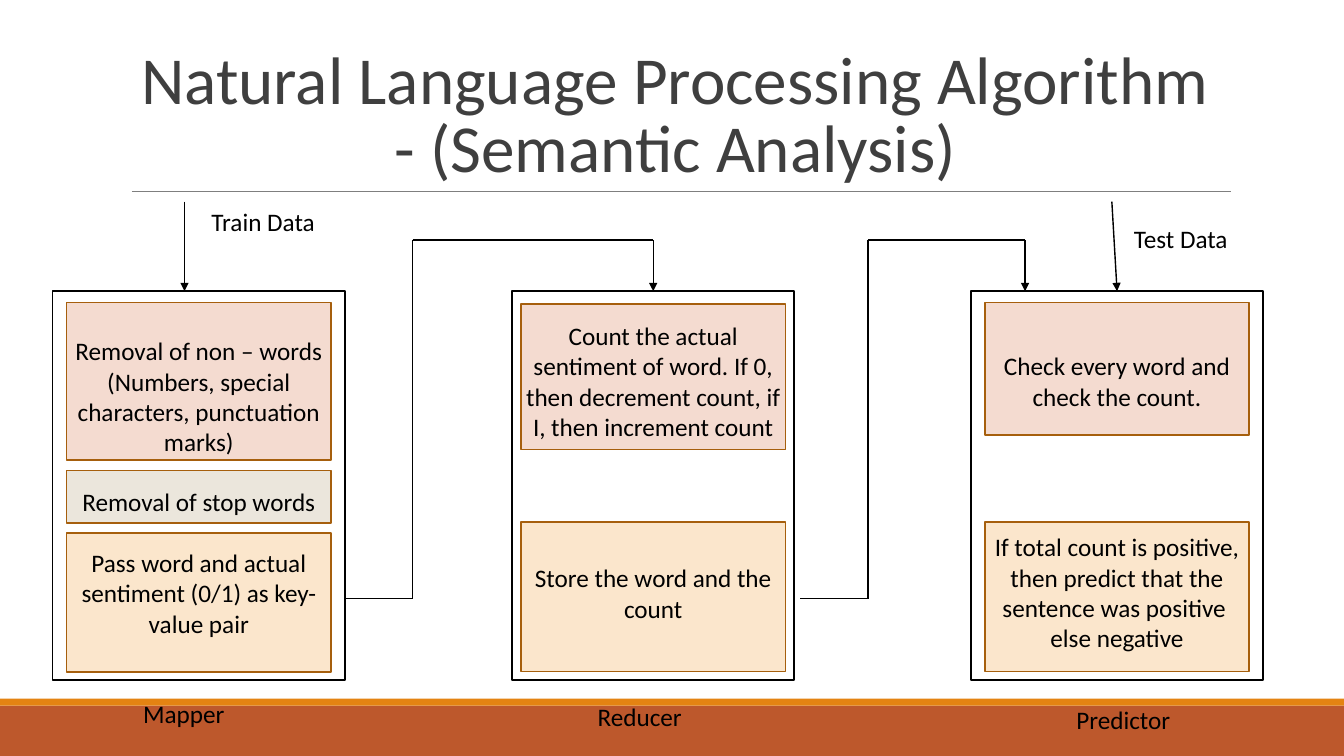
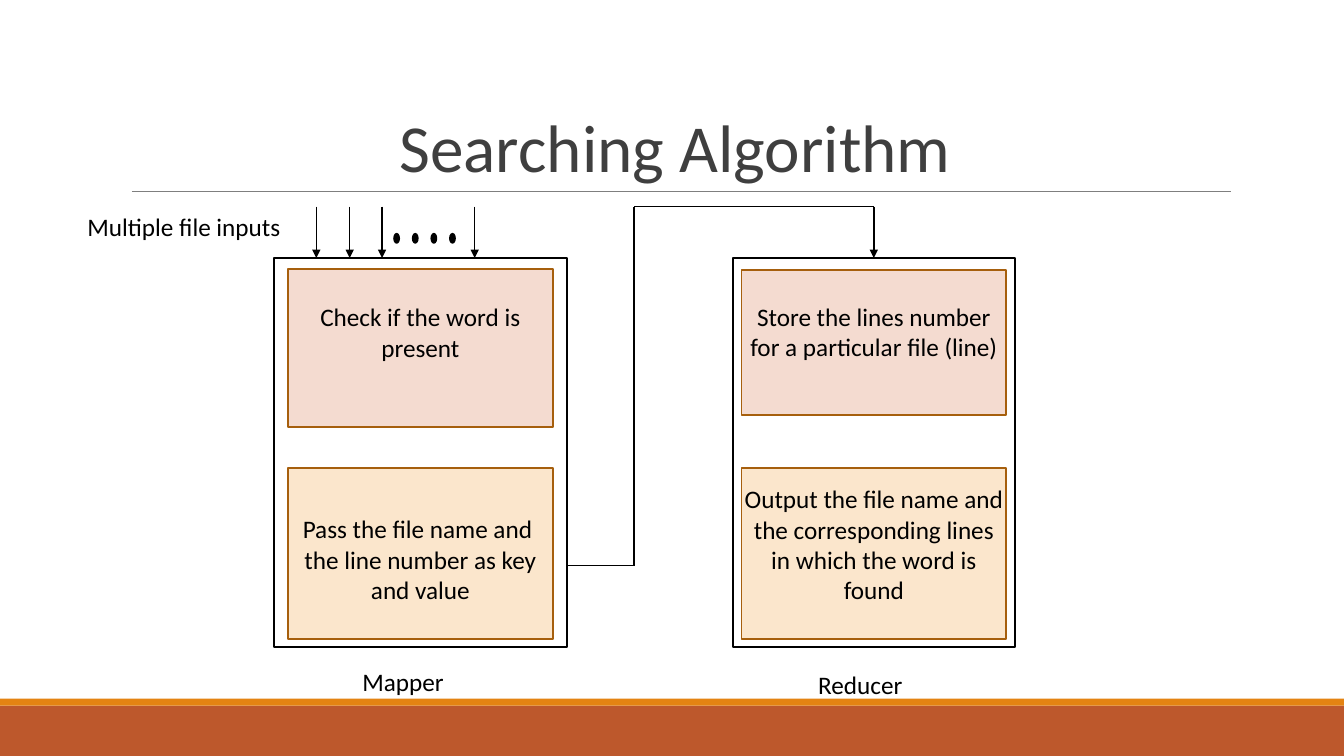
from dataclasses import dataclass
from itertools import pairwise

from lxml.etree import SubElement
from pptx import Presentation
from pptx.dml.color import RGBColor
from pptx.enum.shapes import MSO_CONNECTOR, MSO_SHAPE
from pptx.enum.text import MSO_ANCHOR, PP_ALIGN
from pptx.oxml.ns import qn
from pptx.util import Pt


@dataclass(frozen=True)
class Theme:
    font: str = "Calibri"
    title_size: float = 48
    body_size: float = 18
    ink: str = "000000"
    title: str = "3F3F3F"
    rule: str = "7F7F7F"
    band: str = "BD582C"
    stripe: str = "E48312"
    rose: str = "F4DBD0"
    sage: str = "EBE6DC"
    sand: str = "FBE6CC"
    block_line: str = "A65F0D"
    outline: float = 1.25
    arrow: float = 1


@dataclass(frozen=True)
class Box:
    left: float
    top: float
    width: float
    height: float

    @property
    def right(self):
        return self.left + self.width

    @property
    def bottom(self):
        return self.top + self.height

    @property
    def center(self):
        return self.left + self.width / 2

    def lengths(self):
        return Pt(self.left), Pt(self.top), Pt(self.width), Pt(self.height)


THEME = Theme()
PAGE = Box(0, 0, 960, 540)
PANEL_HEIGHT = 278
BLOCK_WIDTH = 189
TOP_SITE = 0


# Basic parts

def write(shape, text, size=THEME.body_size, color=THEME.ink, align=PP_ALIGN.LEFT,
          anchor=MSO_ANCHOR.TOP, spacing=None, margins=(7.2, 3.6, 7.2, 3.6)):
    frame = shape.text_frame
    frame.word_wrap = True
    frame.vertical_anchor = anchor
    (frame.margin_left, frame.margin_top,
     frame.margin_right, frame.margin_bottom) = map(Pt, margins)
    for index, line in enumerate(text.split("\n")):
        para = frame.add_paragraph() if index else frame.paragraphs[0]
        para.alignment = align
        para.line_spacing = spacing
        span = para.add_run()
        span.text = line
        span.font.name = THEME.font
        span.font.size = Pt(size)
        span.font.color.rgb = RGBColor.from_string(color)


def add_text(page, box, text, **format_options):
    write(page.shapes.add_textbox(*box.lengths()), text, **format_options)


def add_shape(page, box, fill=None, line=None, kind=MSO_SHAPE.RECTANGLE):
    shape = page.shapes.add_shape(kind, *box.lengths())
    shape.shadow.inherit = False
    if fill:
        shape.fill.solid()
        shape.fill.fore_color.rgb = RGBColor.from_string(fill)
    else:
        shape.fill.background()
    if line:
        shape.line.color.rgb = RGBColor.from_string(line)
        shape.line.width = Pt(THEME.outline)
    else:
        shape.line.fill.background()
    return shape


def add_line(page, start, end, color=THEME.ink, width=THEME.arrow, head=False, target=None):
    line = page.shapes.add_connector(MSO_CONNECTOR.STRAIGHT, *map(Pt, (*start, *end)))
    line.line.color.rgb = RGBColor.from_string(color)
    line.line.width = Pt(width)
    if head:
        SubElement(line.line._get_or_add_ln(), qn("a:tailEnd"),
                   type="triangle", w="med", len="med")
    SubElement(line._element.spPr, qn("a:effectLst"))
    if target is not None:
        line.end_connect(target, TOP_SITE)


# Page frame: bands, rule and title

def add_page(deck, title):
    page = deck.slides.add_slide(deck.slide_layouts[6])
    add_shape(page, Box(0, 504, PAGE.width, 36), THEME.band)
    add_shape(page, Box(0, 499, PAGE.width, 5), THEME.stripe)
    add_line(page, (94.3, 136.8), (879, 136.8), THEME.rule, 0.75)
    add_text(page, Box(86.4, 22.3, 792, 114.5), title, size=THEME.title_size,
             color=THEME.title, align=PP_ALIGN.CENTER,
             anchor=MSO_ANCHOR.BOTTOM, spacing=0.85)
    return page


# Panel: outline, centred blocks and caption below
# Each block is (top, height, text inset, fill, text)

def add_panel(page, box, blocks, caption, caption_at):
    for top, height, inset, fill, text in blocks:
        block = Box(box.center - BLOCK_WIDTH / 2, box.top + top, BLOCK_WIDTH, height)
        shape = add_shape(page, block, fill, THEME.block_line)
        write(shape, text, align=PP_ALIGN.CENTER, margins=(0, inset, 0, 0))
    across, below = caption_at
    add_text(page, Box(box.left + across, box.bottom + below, 102, 29), caption)
    return add_shape(page, box, line=THEME.ink)


# Path from a panel's side, up and over, down to the next panel's top

def link_panels(page, source, end_x, gap=0, target=None):
    start_x = source.right + gap
    start_y = source.top + 219.7
    turn_x = start_x + 48.2
    over_y = source.top - 36.7
    corners = [(start_x, start_y), (turn_x, start_y), (turn_x, over_y), (end_x, over_y)]
    for start, end in pairwise(corners):
        add_line(page, start, end)
    add_line(page, corners[-1], (end_x, source.top), head=True, target=target)


def build_language_page(deck):
    page = add_page(deck, "Natural Language Processing Algorithm - (Semantic Analysis)")
    mapper = Box(37.5, 208, 209, PANEL_HEIGHT)
    reducer = Box(365.8, 208, 201.6, PANEL_HEIGHT)
    predictor = Box(693.4, 208, 209, PANEL_HEIGHT)

    add_panel(page, mapper, [
        (8, 112.5, 23.7, THEME.rose,
         "Removal of non – words\n(Numbers, special characters, punctuation marks)"),
        (128, 37.5, 11.4, THEME.sage, "Removal of stop words"),
        (172.8, 99.2, 10.3, THEME.sand,
         "Pass word and actual sentiment (0/1) as key-value pair"),
    ], "Mapper", (57.6, 9.4))
    reducer_shape = add_panel(page, reducer, [
        (9.4, 103.7, 11.6, THEME.rose,
         "Count the actual sentiment of word. If 0, then decrement count, "
         "if I, then increment count"),
        (165, 106.6, 28.9, THEME.sand, "Store the word and the count"),
    ], "Reducer", (54, 11.5))
    predictor_shape = add_panel(page, predictor, [
        (8, 95, 34.4, THEME.rose, "Check every word and check the count."),
        (165, 106.6, 6.8, THEME.sand,
         "If total count is positive, then predict that the sentence was positive \n"
         "else negative"),
    ], "Predictor", (68.4, 13.7))

    # Data inputs
    add_line(page, (131.8, 144), (131.8, mapper.top), head=True)
    add_line(page, (794.2, 144), (predictor.center, predictor.top),
             head=True, target=predictor_shape)
    add_text(page, Box(144, 144, 102, 29), "Train Data")
    add_text(page, Box(802.8, 156.2, 102, 29), "Test Data")

    link_panels(page, mapper, reducer.center, target=reducer_shape)
    link_panels(page, reducer, 732.2, gap=4.3)


def build_search_page(deck):
    page = add_page(deck, "Searching Algorithm")
    mapper = Box(195.8, 184.3, 209, PANEL_HEIGHT)
    reducer = Box(523.4, 184.3, 201.6, PANEL_HEIGHT)

    add_panel(page, mapper, [
        (8, 112.5, 23.2, THEME.rose, "Check if the word is present"),
        (149.8, 122.4, 32.8, THEME.sand,
         "Pass the file name and \nthe line number as key and value"),
    ], "Mapper", (56, 10))
    reducer_shape = add_panel(page, reducer, [
        (8.6, 103.7, 22.5, THEME.rose,
         "Store the lines number for a particular file (line)"),
        (149.8, 122.4, 11.4, THEME.sand,
         "Output the file name and the corresponding lines in which the word is found"),
    ], "Reducer", (54, 12.2))

    # File inputs, with dots for those between
    add_text(page, Box(55.4, 147.6, 161, 29), "Multiple file inputs")
    for input_x in (226, 249.8, 272.9, 339.1):
        add_line(page, (input_x, 147.6), (input_x, mapper.top), head=True)
    for index in range(4):
        add_shape(page, Box(281.5 + 13.3 * index, 167, 3.6, 6.5),
                  THEME.ink, THEME.ink, MSO_SHAPE.OVAL)

    link_panels(page, mapper, reducer.center, target=reducer_shape)


def main():
    deck = Presentation()
    deck.slide_width = Pt(PAGE.width)
    deck.slide_height = Pt(PAGE.height)
    build_language_page(deck)
    build_search_page(deck)
    deck.save("out.pptx")


if __name__ == "__main__":
    main()
